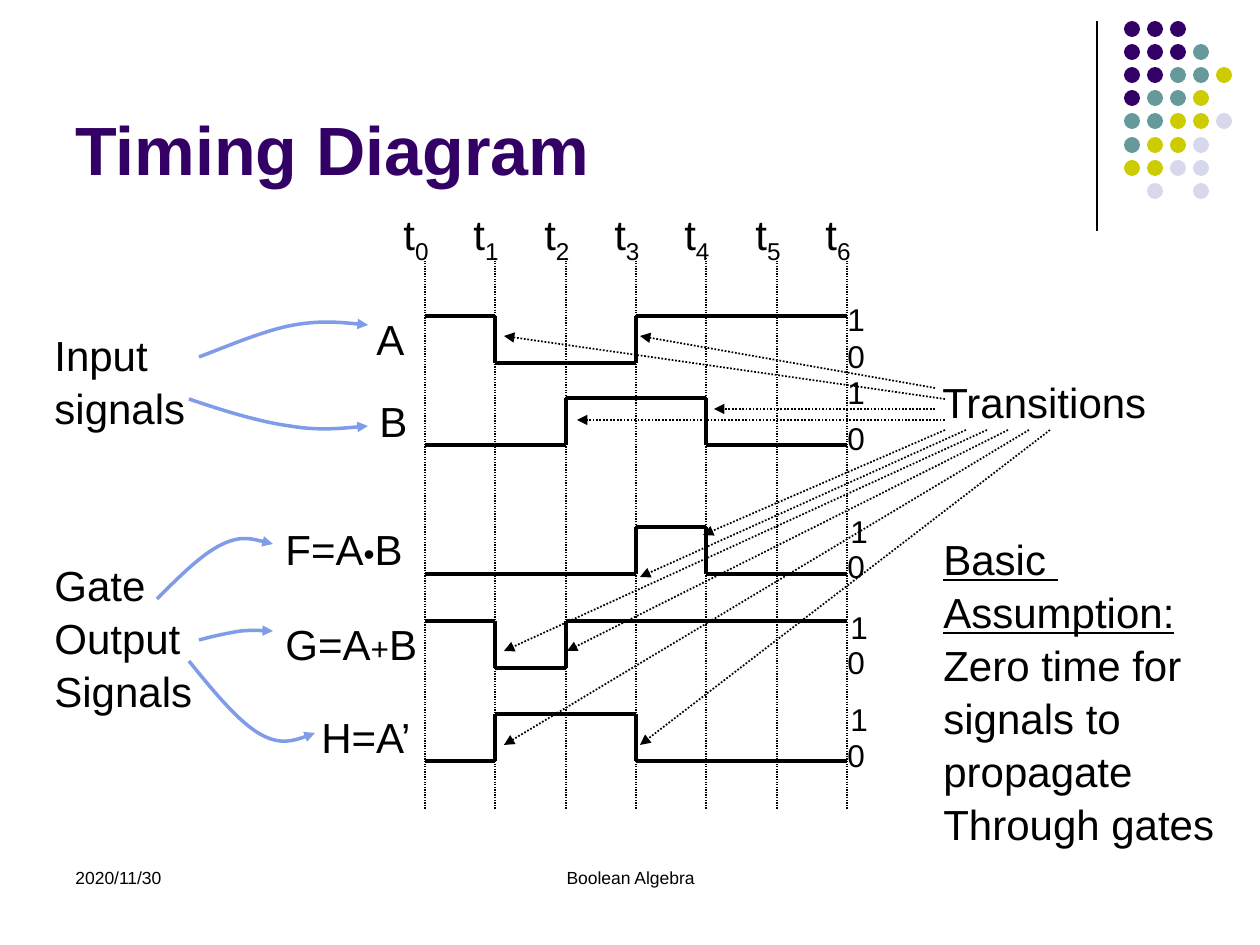
from lxml.etree import SubElement
from pptx import Presentation
from pptx.dml.color import RGBColor
from pptx.enum.dml import MSO_LINE
from pptx.enum.shapes import MSO_CONNECTOR, MSO_SHAPE
from pptx.enum.text import MSO_ANCHOR, MSO_AUTO_SIZE, PP_ALIGN
from pptx.oxml.ns import qn
from pptx.util import Pt

PX = 914400 // 126
BLACK, PURPLE, ARROW_BLUE = "000000", "330066", "7E9CE8"
DOT_COLOURS = {"P": PURPLE, "T": "669999", "Y": "CCCC00", "L": "D8D8EC"}
DOT_ROWS = ["PPP", "PPPT", "PPTTY", "PTTY", "TTYYL", "TYYL", "YYLL", " L L"]

# Time axis and signal height
TIMES = [425 + round(step * 422 / 6) for step in range(7)]
SWING = 47

# Name runs, name box (left, top, width), levels, top of the wave,
# place of the "1" mark, top of the "0" mark
SIGNALS = [
    ([("A", 24)], (364, 305, 54), "100111", 316, (835, 292), 329),
    ([("B", 24)], (367, 387, 54), "001100", 398, (835, 365), 411),
    ([("F=A", 24), ("•", 18), ("B", 24)], (273, 515, 144), "000100", 527, (838, 504), 539),
    ([("G=A", 24), ("+", 18), ("B", 24)], (273, 610, 159), "101111", 621, (838, 600), 635),
    ([("H=A’", 24)], (309, 703, 116), "011000", 714, (838, 692), 728),
]

# Each pointer: start, then two cubic curves of three points
POINTERS = [
    [(199, 357), (233, 344), (266, 330), (294, 325), (323, 320), (357, 324), (368, 325)],
    [(189, 399), (224, 411), (260, 422), (290, 426), (319, 431), (357, 427), (368, 426)],
    [(157, 599), (180, 576), (203, 553), (223, 544), (242, 535), (266, 542), (273, 544)],
    [(189, 661), (214, 692), (239, 722), (260, 734), (281, 746), (307, 737), (315, 733)],
    [(199, 640), (214, 636), (228, 633), (241, 631), (253, 630), (268, 631), (273, 631)],
]

TRANSITIONS = [
    ((945, 399), (504, 336)), ((935, 388), (640, 336)),
    ((935, 409), (714, 409)), ((945, 420), (577, 420)),
    ((945, 430), (703, 535)), ((966, 430), (640, 577)),
    ((987, 430), (504, 651)), ((1008, 430), (567, 651)),
    ((1029, 430), (504, 745)), ((1050, 430), (640, 745)),
]


def rgb(colour):
    return RGBColor.from_string(colour)


def add_arrowhead(line_owner):
    outline = line_owner.line._get_or_add_ln()
    SubElement(outline, qn("a:tailEnd"), type="triangle")


def add_line(slide, start, end, width, dotted=False, arrow=False):
    segment = slide.shapes.add_connector(
        MSO_CONNECTOR.STRAIGHT, *(value * PX for value in (*start, *end)))
    segment.line.color.rgb = rgb(BLACK)
    segment.line.width = Pt(width)
    if dotted:
        segment.line.dash_style = MSO_LINE.ROUND_DOT
    if arrow:
        add_arrowhead(segment)
    SubElement(segment._element.spPr, qn("a:effectLst"))


def add_pointer(slide, points):
    builder = slide.shapes.build_freeform(*points[0], scale=PX)
    builder.add_line_segments(points[1:], close=False)
    pointer = builder.convert_to_shape()
    pointer.shadow.inherit = False
    pointer.fill.background()
    pointer.line.color.rgb = rgb(ARROW_BLUE)
    pointer.line.width = Pt(2)
    add_arrowhead(pointer)
    # Every three straight steps become one cubic curve
    steps = list(pointer._element.iter(qn("a:lnTo")))
    outline = steps[0].getparent()
    for first in range(0, len(steps), 3):
        curve = SubElement(outline, qn("a:cubicBezTo"))
        for step in steps[first:first + 3]:
            curve.append(step[0])
            outline.remove(step)


def add_text(slide, box, paragraphs, colour=BLACK, bold=False, wrap=False,
             align=PP_ALIGN.LEFT, anchor=MSO_ANCHOR.TOP, spacing=None):
    """Each paragraph is a list of runs: text, size, then font attributes."""
    frame = slide.shapes.add_textbox(*(value * PX for value in box)).text_frame
    frame.word_wrap = wrap
    frame.auto_size = MSO_AUTO_SIZE.NONE if wrap else MSO_AUTO_SIZE.SHAPE_TO_FIT_TEXT
    frame.vertical_anchor = anchor
    for index, runs in enumerate(paragraphs):
        paragraph = frame.add_paragraph() if index else frame.paragraphs[0]
        paragraph.alignment = align
        if spacing:
            paragraph.line_spacing = spacing
        for text, size, *style in runs:
            run = paragraph.add_run()
            run.text = text
            run.font.name = "Arial"
            run.font.size = Pt(size)
            run.font.bold = bold
            run.font.color.rgb = rgb(colour)
            if "underline" in style:
                run.font.underline = True
            if "subscript" in style:
                run.font._element.set("baseline", "-25000")


def add_label(slide, box, paragraphs):
    add_text(slide, box, paragraphs, spacing=1.05)


def add_dot_pattern(slide):
    for row, letters in enumerate(DOT_ROWS):
        for column, letter in enumerate(letters):
            if letter == " ":
                continue
            left, top = 1124 + round(column * 23.1), 21 + round(row * 23.1)
            dot = slide.shapes.add_shape(
                MSO_SHAPE.OVAL, left * PX, top * PX, 16 * PX, 16 * PX)
            dot.shadow.inherit = False
            dot.fill.solid()
            dot.fill.fore_color.rgb = rgb(DOT_COLOURS[letter])
            dot.line.fill.background()


def add_wave(slide, levels, top):
    heights = [top if level == "1" else top + SWING for level in levels]
    for step, height in enumerate(heights):
        add_line(slide, (TIMES[step], height), (TIMES[step + 1], height), 2)
        if step and heights[step - 1] != height:
            add_line(slide, (TIMES[step], top + SWING), (TIMES[step], top), 2)


def main():
    presentation = Presentation()
    presentation.slide_width, presentation.slide_height = 1260 * PX, 945 * PX
    slide = presentation.slides.add_slide(presentation.slide_layouts[6])

    # Corner decoration, title and footer
    add_line(slide, (1097, 21), (1097, 231), 0.75)
    add_dot_pattern(slide)
    add_text(slide, (63, 16, 1040, 179), [[("Timing Diagram", 39)]], PURPLE,
             bold=True, wrap=True, anchor=MSO_ANCHOR.BOTTOM)
    add_text(slide, (63, 861, 294, 63), [[("2020/11/30", 10)]], wrap=True)
    add_text(slide, (431, 861, 399, 63), [[("Boolean Algebra", 10)]], wrap=True,
             align=PP_ALIGN.CENTER)

    # Time axis
    for step, time in enumerate(TIMES):
        add_line(slide, (time, 258), (time, 809), 0.75, dotted=True)
        add_label(slide, (time - 34, 199, 53, 64),
                  [[("t", 24), (str(step), 24, "subscript")]])

    # Signals
    for name, (left, top, width), levels, wave_top, one, zero_top in SIGNALS:
        add_wave(slide, levels, wave_top)
        add_label(slide, (left, top, width, 64), [name])
        add_label(slide, (*one, 43, 50), [[("1", 18)]])
        add_label(slide, (835, zero_top, 44, 50), [[("0", 18)]])

    # Signal groups and their pointers
    add_label(slide, (42, 321, 157, 115), [[("Input", 24)], [("signals", 24)]])
    add_label(slide, (42, 551, 165, 165),
              [[(word, 24)] for word in ("Gate", "Output", "Signals")])
    for points in POINTERS:
        add_pointer(slide, points)

    # Assumption
    heading = [[(text, 24, "underline")] for text in ("Basic ", "Assumption:")]
    body = [[(text, 24)] for text in
            ("Zero time for", "signals to", "propagate ", "Through gates")]
    add_label(slide, (931, 525, 299, 318), heading + body)

    # Transitions
    add_label(slide, (930, 368, 232, 63), [[("Transitions", 24)]])
    for start, end in TRANSITIONS:
        add_line(slide, start, end, 1, dotted=True, arrow=True)

    presentation.save("out.pptx")


main()
